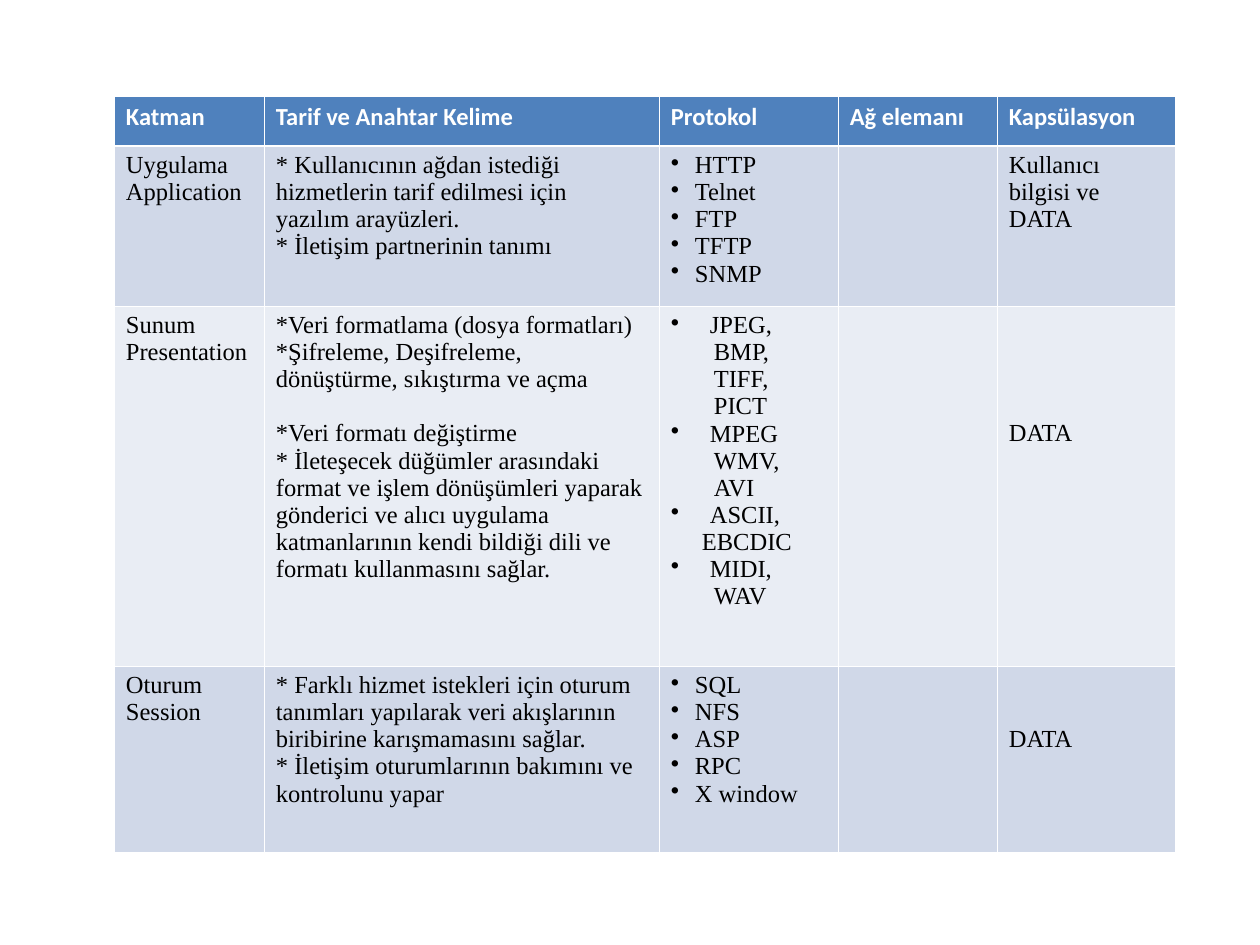
from dataclasses import dataclass
from lxml.etree import SubElement
from pptx import Presentation
from pptx.dml.color import RGBColor as Color
from pptx.enum.text import MSO_ANCHOR as Anchor
from pptx.oxml.ns import qn
from pptx.util import Emu, Pt


@dataclass
class Line:
    text: str
    left: int = 0
    bullet: bool = False
    before: int = 0


@dataclass
class Cell:
    lines: list
    drop: int = 0


@dataclass(frozen=True)
class Theme:
    header: str = "4F81BD"
    bands: tuple = ("D0D8E8", "E9EDF4")
    white: str = "FFFFFF"
    ink: str = "000000"
    header_font: str = "Calibri"
    body_font: str = "Times New Roman"
    size: int = 14
    thin: float = 0.45
    thick: float = 1.47


def plain(*texts, drop=0):
    return Cell([Line(text) for text in texts], drop)


def bullets(*texts):
    return Cell([Line(text, 24, True) for text in texts])


def formats(*groups):
    lines = []
    for first, rest, left in groups:
        lines.append(Line(first, 39, True))
        lines += [Line(text, left) for text in rest]
    return Cell(lines)


THEME = Theme()
PAGE = (1260, 945)
ORIGIN = (114, 96)
COLUMNS = [150, 395, 179, 159, 178]
ROWS = [50, 160, 360, 186]
MARGIN_X, MARGIN_Y = 12, 6
LINE_HEIGHT = 27

HEADINGS = ["Katman", "Tarif ve Anahtar Kelime", "Protokol", "Ağ elemanı", "Kapsülasyon"]
LAYERS = [
    [
        plain("Uygulama", "Application"),
        plain(
            "* Kullanıcının ağdan istediği hizmetlerin tarif edilmesi için yazılım arayüzleri.",
            "* İletişim partnerinin tanımı",
        ),
        bullets("HTTP", "Telnet", "FTP", "TFTP", "SNMP"),
        plain(),
        plain("Kullanıcı bilgisi ve DATA"),
    ],
    [
        plain("Sunum", "Presentation"),
        Cell([
            Line("*Veri formatlama (dosya formatları)"),
            Line("*Şifreleme, Deşifreleme,\ndönüştürme, sıkıştırma ve açma"),
            Line("*Veri formatı değiştirme", before=LINE_HEIGHT),
            Line(
                "* İleteşecek düğümler arasındaki format ve işlem dönüşümleri yaparak "
                "gönderici ve alıcı uygulama katmanlarının kendi bildiği dili ve "
                "formatı kullanmasını sağlar."
            ),
        ]),
        formats(
            ("JPEG,", ["BMP,", "TIFF,", "PICT"], 43),
            ("MPEG", ["WMV,", "AVI"], 43),
            ("ASCII,", ["EBCDIC"], 31),
            ("MIDI,", ["WAV"], 43),
        ),
        plain(),
        plain("DATA", drop=4 * LINE_HEIGHT),
    ],
    [
        plain("Oturum", "Session"),
        plain(
            "* Farklı hizmet istekleri için oturum tanımları yapılarak veri akışlarının "
            "biribirine karışmamasını sağlar.",
            "* İletişim oturumlarının bakımını ve kontrolunu yapar",
        ),
        bullets("SQL", "NFS", "ASP", "RPC", "X window"),
        plain(),
        plain("DATA", drop=2 * LINE_HEIGHT),
    ],
]


def px(count):
    return Emu(round(count * 914400 / 126))


def add_solid(parent, tag, colour):
    SubElement(SubElement(parent, qn(tag)), qn("a:srgbClr"), val=colour)


def set_borders(cell, top, bottom):
    properties = cell._tc.get_or_add_tcPr()
    widths = {"L": THEME.thin, "R": THEME.thin, "T": top, "B": bottom}
    for side, width in widths.items():
        edge = SubElement(properties, qn(f"a:ln{side}"), w=str(Pt(width)))
        add_solid(edge, "a:solidFill", THEME.white)


def set_indent(para, line):
    properties = para._p.get_or_add_pPr()
    properties.set("marL", str(px(line.left)))
    properties.set("indent", str(-px(line.left) if line.bullet else 0))
    if line.bullet:
        add_solid(properties, "a:buClr", THEME.ink)
        SubElement(properties, qn("a:buChar"), char="•")


def write_line(para, line, header):
    set_indent(para, line)
    if line.before:
        para.space_before = px(line.before)
    for number, text in enumerate(line.text.split("\n")):
        if number:
            para.add_line_break()
        span = para.add_run()
        span.text = text
        span.font.size = Pt(THEME.size)
        span.font.bold = header
        span.font.name = THEME.header_font if header else THEME.body_font
        span.font.color.rgb = Color.from_string(THEME.white if header else THEME.ink)


def fill_cell(cell, content, row):
    header = row == 0
    set_borders(
        cell,
        THEME.thick if row == 1 else THEME.thin,
        THEME.thick if header else THEME.thin,
    )
    colour = THEME.header if header else THEME.bands[(row - 1) % 2]
    cell.fill.solid()
    cell.fill.fore_color.rgb = Color.from_string(colour)
    cell.margin_left = cell.margin_right = px(MARGIN_X)
    cell.margin_top = px(MARGIN_Y + content.drop)
    cell.margin_bottom = px(MARGIN_Y)
    cell.vertical_anchor = Anchor.TOP
    frame = cell.text_frame
    for number, line in enumerate(content.lines):
        para = frame.add_paragraph() if number else frame.paragraphs[0]
        write_line(para, line, header)


def main():
    deck = Presentation()
    deck.slide_width, deck.slide_height = map(px, PAGE)
    page = deck.slides.add_slide(deck.slide_layouts[6])
    contents = [[plain(heading) for heading in HEADINGS]] + LAYERS
    bounds = map(px, (*ORIGIN, sum(COLUMNS), sum(ROWS)))
    table = page.shapes.add_table(len(ROWS), len(COLUMNS), *bounds).table
    for column, width in zip(table.columns, COLUMNS):
        column.width = px(width)
    for number, (row, height) in enumerate(zip(table.rows, ROWS)):
        row.height = px(height)
        for cell, content in zip(row.cells, contents[number]):
            fill_cell(cell, content, number)
    deck.save("out.pptx")


if __name__ == "__main__":
    main()
